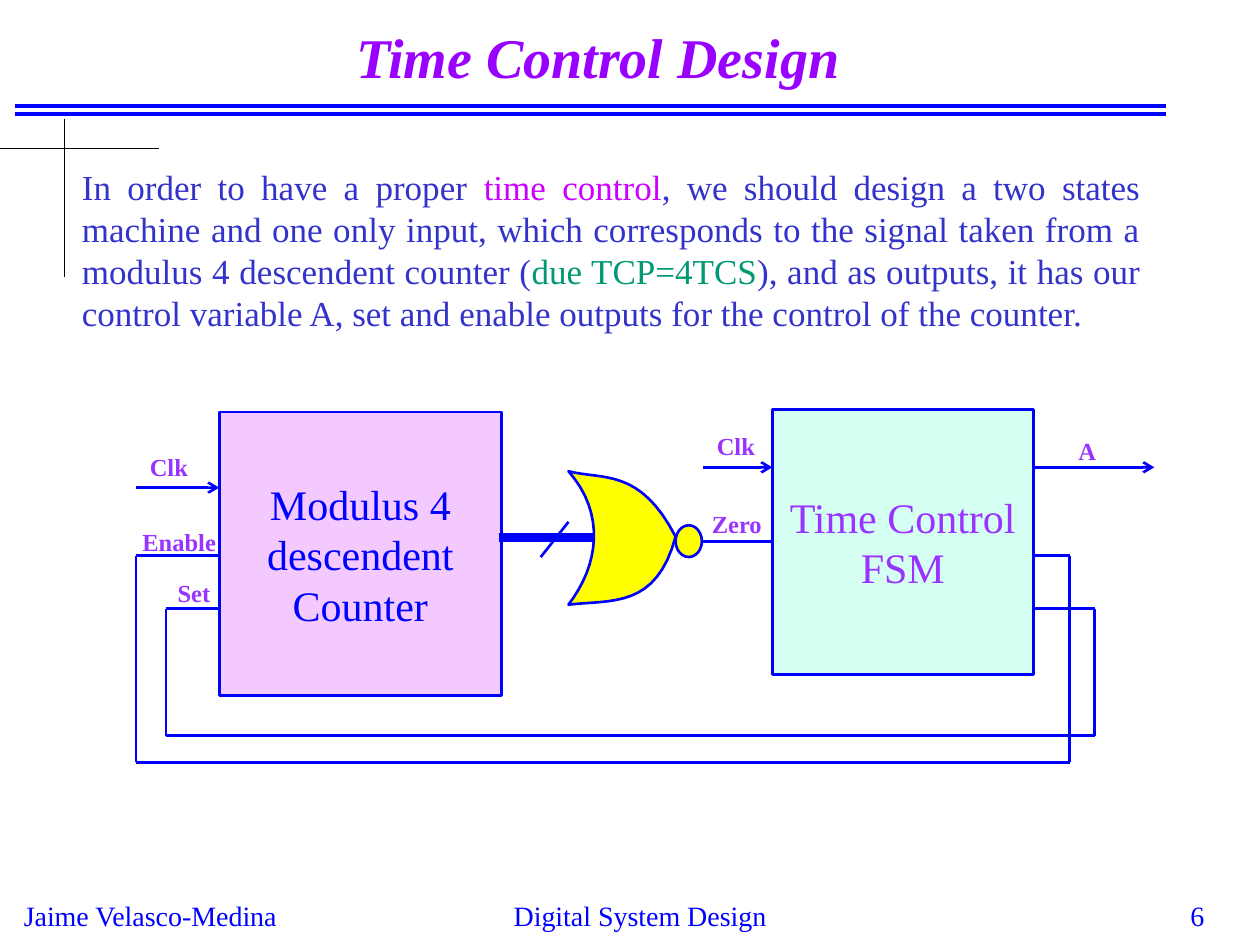
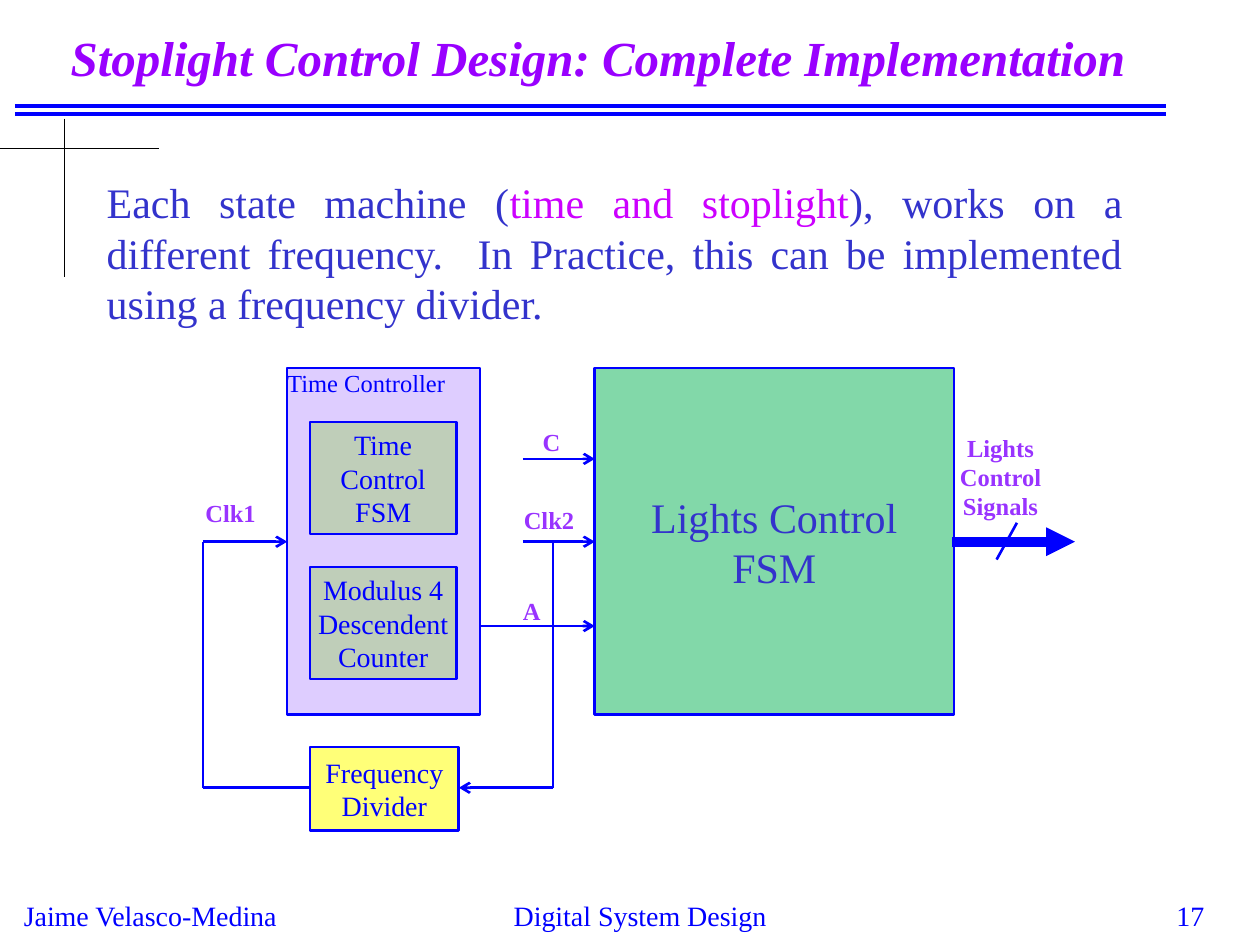
"""Build two slides on the time and stoplight control design."""
from itertools import pairwise

from lxml.etree import SubElement
from pptx import Presentation
from pptx.dml.color import RGBColor
from pptx.enum.shapes import MSO_CONNECTOR, MSO_SHAPE
from pptx.enum.text import MSO_ANCHOR as Anchor, MSO_AUTO_SIZE, PP_ALIGN as Align
from pptx.oxml.ns import qn
from pptx.util import Cm, Pt

BLUE = RGBColor(0x00, 0x00, 0xFF)
BLACK = RGBColor(0x00, 0x00, 0x00)
TITLE_PURPLE = RGBColor(0x99, 0x00, 0xFF)
LABEL_PURPLE = RGBColor(0x99, 0x33, 0xFF)
BODY_BLUE = RGBColor(0x33, 0x33, 0xCC)
MAGENTA = RGBColor(0xCC, 0x00, 0xFF)
TEAL = RGBColor(0x00, 0x99, 0x73)
MINT = RGBColor(0x47, 0xFF, 0xD1)
LILAC = RGBColor(0x99, 0x66, 0xFF)
LIME = RGBColor(0x92, 0xD0, 0x50)
GREEN = RGBColor(0x00, 0xB0, 0x50)
YELLOW = RGBColor(0xFF, 0xFF, 0x00)

FONT = "Times New Roman"
AUTHOR = "Jaime Velasco-Medina"
COURSE = "Digital System Design"
MARGINS = (0.25, 0.13)


def curve_points(start, controls, steps=16):
    """Return points along one cubic curve, without its start."""
    knots = (start, *controls)
    points = []
    for step in range(1, steps + 1):
        t = step / steps
        weights = ((1 - t) ** 3, 3 * t * (1 - t) ** 2, 3 * t * t * (1 - t), t ** 3)
        points.append(tuple(sum(w * knot[axis] for w, knot in zip(weights, knots))
                            for axis in (0, 1)))
    return points


class SlideWriter:
    """Hold the deck style and the current slide."""

    def __init__(self):
        """Start an empty deck."""
        self.deck = Presentation()
        self.deck.slide_width, self.deck.slide_height = Cm(25.4), Cm(19.05)
        self.page = None

    def start_page(self, title, title_size, number):
        """Add a page with its title, rules, cross and footer."""
        self.page = self.deck.slides.add_slide(self.deck.slide_layouts[1])
        for y in (2.13, 2.29):
            self.line((0.3, y), (23.5, y), width=2.25)
        self.line((0, 3), (3.2, 3), BLACK, 0.75)
        self.line((1.3, 2.39), (1.3, 5.59), BLACK, 0.75)
        footers = ((AUTHOR, 0.23, 5.69, Align.LEFT),
                   (COURSE, 8.46, 8.89, Align.CENTER),
                   (number, 19.25, 5.28, Align.RIGHT))
        for text, left, width, align in footers:
            self.text_box(text, (left, 17.98, width, 0.84), 16, BLUE, align)
        box = self.page.shapes.title
        self.place(box, (0.41, 0.28, 23.29, 1.9))
        para = self.fill_text(box, [[(title, TITLE_PURPLE)]], title_size,
                              Align.CENTER, Anchor.MIDDLE, bold=True, italic=True)
        para.line_spacing = 0.87

    def place(self, box, area):
        """Set the place and size of a box."""
        box.left, box.top, box.width, box.height = map(Cm, area)

    def fill_text(self, box, paragraphs, size, align, anchor=Anchor.TOP,
                  margins=MARGINS, bold=False, italic=False):
        """Write paragraphs of coloured spans and return the last one."""
        frame = box.text_frame
        frame.word_wrap = True
        frame.auto_size = MSO_AUTO_SIZE.NONE
        frame.vertical_anchor = anchor
        frame.margin_left = frame.margin_right = Cm(margins[0])
        frame.margin_top = frame.margin_bottom = Cm(margins[1])
        for index, spans in enumerate(paragraphs):
            para = frame.add_paragraph() if index else frame.paragraphs[0]
            para.alignment = align
            para.space_before = Pt(0)
            for text, color in spans:
                span = para.add_run()
                span.text = text
                font = span.font
                font.name, font.size = FONT, Pt(size)
                font.bold, font.italic = bold, italic
                font.color.rgb = color
        return para

    def body(self, spans, area, size):
        """Write the justified body text without a bullet."""
        box = self.page.placeholders[1]
        self.place(box, area)
        para = self.fill_text(box, [spans], size, Align.JUSTIFY)
        properties = para._p.get_or_add_pPr()
        properties.set("marL", "0")
        properties.set("indent", "0")
        SubElement(properties, qn("a:buNone"))

    def text_box(self, text, area, size, color, align=Align.LEFT, bold=False):
        """Add plain text."""
        box = self.page.shapes.add_textbox(*map(Cm, area))
        self.fill_text(box, [[(text, color)]], size, align, bold=bold)

    def label(self, text, left, top, width=1.68, height=0.86, align=Align.LEFT):
        """Name a signal."""
        self.text_box(text, (left, top, width, height), 14, LABEL_PURPLE, align, True)

    def paint(self, shape, color, opacity=100):
        """Fill and outline a shape."""
        shape.shadow.inherit = False
        shape.fill.solid()
        shape.fill.fore_color.rgb = color
        shape.line.color.rgb = BLUE
        shape.line.width = Pt(1.5)
        if opacity < 100:
            fill = shape._element.spPr.find(qn("a:solidFill"))
            SubElement(fill[0], qn("a:alpha"), val=str(opacity * 1000))

    def block(self, lines, area, color, opacity, size, text_color=BLUE,
              align=Align.CENTER, anchor=Anchor.MIDDLE):
        """Add a circuit block with its name."""
        box = self.page.shapes.add_shape(MSO_SHAPE.RECTANGLE, *map(Cm, area))
        self.paint(box, color, opacity)
        self.fill_text(box, [[(line, text_color)] for line in lines],
                       size, align, anchor, (0, 0))

    def nor_gate(self):
        """Draw the gate body and its inverting bubble."""
        tip, bottom, top = (13.62, 10.82), (11.46, 12.19), (11.46, 9.5)
        outline = [
            *curve_points(tip, ((13.23, 12.27), (12.34, 12.09), bottom)),
            *curve_points(bottom, ((12.07, 11.4), (12.22, 10.36), top)),
            *curve_points(top, ((12.14, 9.68), (12.9, 9.42), tip)),
        ]
        builder = self.page.shapes.build_freeform(Cm(tip[0]), Cm(tip[1]))
        builder.add_line_segments([(Cm(x), Cm(y)) for x, y in outline])
        self.paint(builder.convert_to_shape(), YELLOW)
        bubble = self.page.shapes.add_shape(
            MSO_SHAPE.OVAL, Cm(13.62), Cm(10.59), Cm(0.53), Cm(0.64))
        self.paint(bubble, YELLOW)

    def line(self, start, end, color=BLUE, width=1.5, head=None):
        """Draw a straight line, with an arrowhead if one is named."""
        wire = self.page.shapes.add_connector(
            MSO_CONNECTOR.STRAIGHT, *map(Cm, (*start, *end)))
        wire.line.color.rgb = color
        wire.line.width = Pt(width)
        if head:
            SubElement(wire.line._get_or_add_ln(), qn("a:tailEnd"), type=head)
        SubElement(wire._element.spPr, qn("a:effectLst"))

    def wire(self, *points, head=None):
        """Join points with lines, with the arrowhead on the last."""
        for start, end in pairwise(points):
            self.line(start, end, head=head if end == points[-1] else None)

    def input_arrow(self, left, right, y):
        """Draw a horizontal signal arrow."""
        self.line((left, y), (right, y), head="arrow")


def add_time_control(writer):
    """Add the time control page."""
    writer.start_page("Time Control Design", 32, "6")
    writer.body([
        ("In order to have a proper ", BODY_BLUE),
        ("time control", MAGENTA),
        (", we should design a two states machine and one only input, which "
         "corresponds to the signal taken from a modulus 4 descendent counter (",
         BODY_BLUE),
        ("due TCP=4TCS", TEAL),
        ("), and as outputs, it has our control variable A, set and enable "
         "outputs for the control of the counter.", BODY_BLUE),
    ], (1.4, 3.2, 21.84, 3.66), 20)
    writer.block(["Time Control", "FSM"], (15.57, 8.25, 5.26, 5.35),
                 MINT, 22, 24, LABEL_PURPLE)
    writer.block(["Modulus 4 descendent Counter"], (4.42, 8.31, 5.69, 5.71),
                 MAGENTA, 21, 24)
    writer.nor_gate()
    writer.line((10.06, 10.83), (11.96, 10.83), width=5.25)
    writer.line((11.46, 10.52), (10.9, 11.23))
    writer.line((14.16, 10.91), (15.57, 10.91))
    feedback_loops = ((12.27, 22.07, 14.83, 3.35), (11.2, 21.56, 15.37, 2.74))
    for top, right, bottom, left in feedback_loops:
        writer.wire((20.83, top), (right, top), (right, bottom),
                    (left, bottom), (left, top), (4.42, top))
    for left, right, y in ((2.74, 4.42, 9.83), (20.83, 23.27, 9.42),
                           (14.17, 15.57, 9.42)):
        writer.input_arrow(left, right, y)
    writer.label("Clk", 2.77, 8.99)
    writer.label("Clk", 14.2, 8.56)
    writer.label("Set", 3.33, 11.53)
    writer.label("Enable", 2.62, 10.49, 2.18)
    writer.label("Zero", 14.1, 10.13)
    writer.label("A", 21.49, 8.66, 0.61)


def add_complete_implementation(writer):
    """Add the complete implementation page."""
    writer.start_page("Stoplight Control Design: Complete Implementation", 28, "17")
    writer.body([
        ("Each state machine (", BODY_BLUE),
        ("time and stoplight", MAGENTA),
        ("), works on a different frequency.  In Practice, this can be "
         "implemented using a frequency divider.", BODY_BLUE),
    ], (1.9, 3.43, 20.98, 3.3), 24)
    writer.block(["Time Controller"], (5.79, 7.42, 3.89, 6.99), LILAC, 32, 14,
                 align=Align.LEFT, anchor=Anchor.TOP)
    for top, lines in ((8.51, ["Time", "Control", "FSM"]),
                       (11.43, ["Modulus 4", "Descendent", "Counter"])):
        writer.block(lines, (6.25, top, 2.95, 2.26), LIME, 40, 16)
    writer.block(["Lights Control", "FSM"], (11.99, 7.42, 7.24, 6.99),
                 GREEN, 49, 24, BODY_BLUE)
    writer.block(["Frequency Divider"], (6.25, 15.06, 3, 1.68), YELLOW, 53, 16)
    for left, y in ((9.68, 12.62), (10.54, 9.25), (10.54, 10.92)):
        writer.input_arrow(left, 11.99, y)
    writer.wire((11.15, 10.92), (11.15, 15.88), (9.25, 15.88), head="arrow")
    writer.wire((6.25, 15.88), (4.09, 15.88), (4.09, 10.92), (5.79, 10.92),
                head="arrow")
    writer.line((19.2, 10.92), (21.67, 10.92), width=5.5, head="triangle")
    writer.line((20.5, 10.54), (20.09, 11.28))
    writer.label("Clk1", 3.89, 9.91)
    writer.label("Clk2", 10.31, 10.06)
    writer.label("C", 10.69, 8.48, 0.84)
    writer.label("A", 10.29, 11.89, 0.84)
    writer.label("Lights Control Signals", 18.8, 8.59, 2.74, 2.03, Align.CENTER)


def main():
    """Build and save the deck."""
    writer = SlideWriter()
    add_time_control(writer)
    add_complete_implementation(writer)
    writer.deck.save("out.pptx")


if __name__ == "__main__":
    main()
